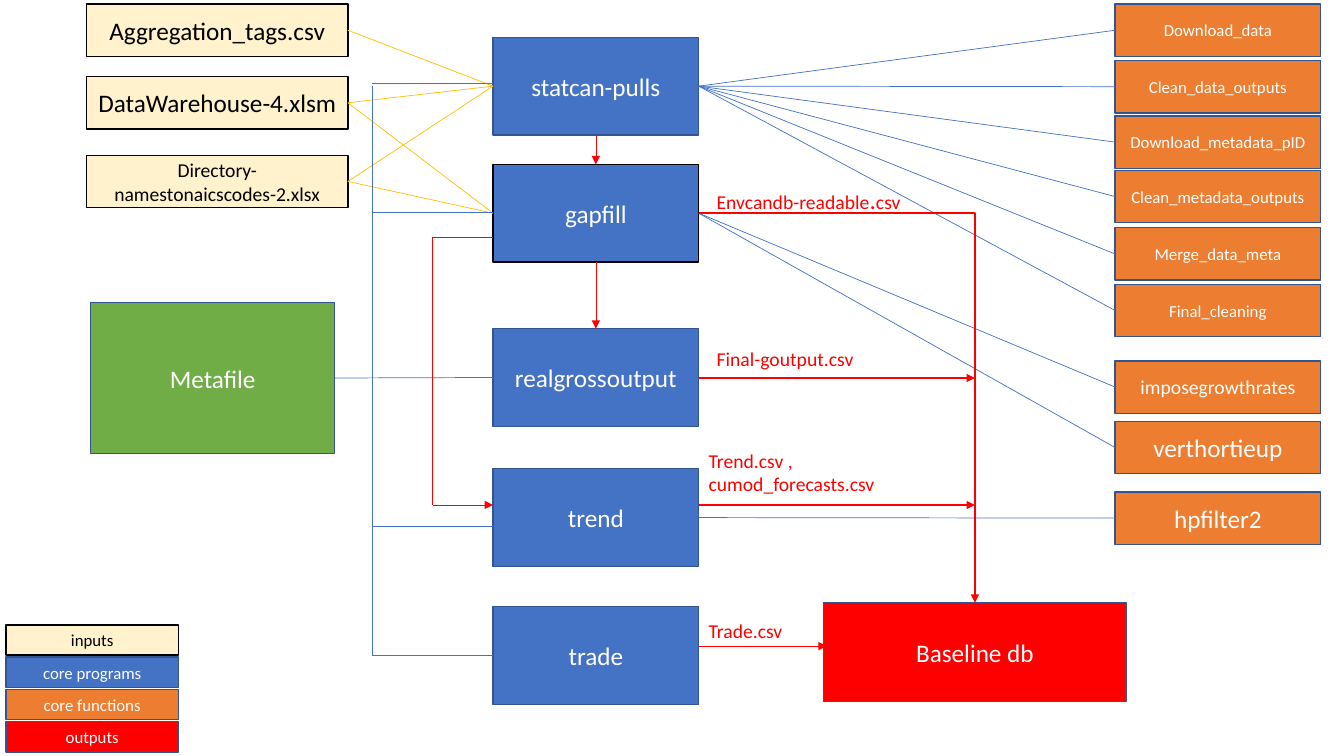
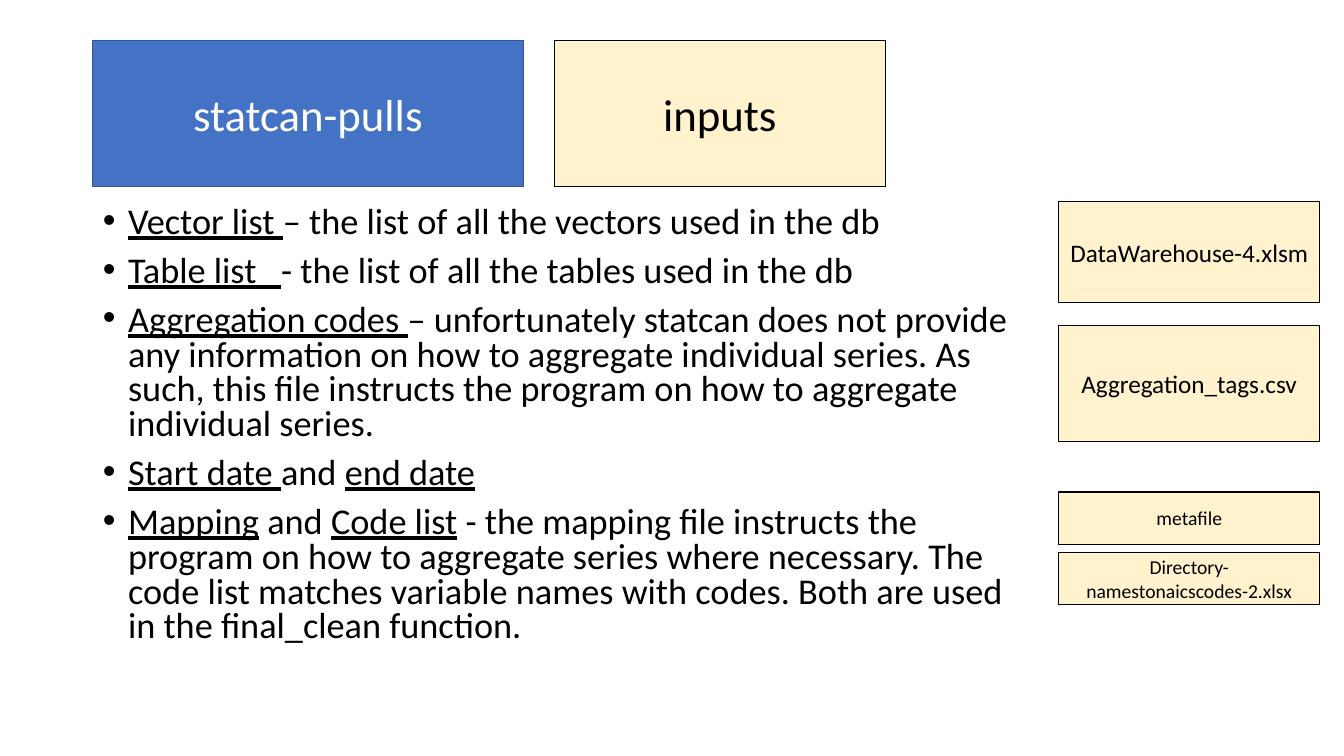
from lxml import etree
from pptx import Presentation
from pptx.dml.color import RGBColor
from pptx.enum import shapes, text
from pptx.oxml.ns import qn
from pptx.util import Inches, Pt

FONT = "Calibri"
COLOURS = {
    "blue": "4472C4", "navy": "325491", "orange": "ED7D31", "green": "70AD47",
    "red": "FF0000", "gold": "FFC000", "cream": "FFF2CC", "black": "000000", "white": "FFFFFF",
}
# Role of a box: fill, outline, text
ROLES = {
    "input": ("cream", "black", "black"),
    "program": ("blue", "navy", "white"),
    "function": ("orange", "navy", "white"),
    "output": ("red", "navy", "white"),
    "metafile": ("green", "navy", "white"),
}
RGB = {name: RGBColor.from_string(value) for name, value in COLOURS.items()}
TOP, LEFT, BOTTOM, RIGHT = range(4)  # connection sites of a rectangle


def add_box(page, label, role, left, top, width, height, size=18):
    fill, outline, ink = ROLES[role]
    box = page.shapes.add_shape(shapes.MSO_SHAPE.RECTANGLE, Inches(left), Inches(top),
                                Inches(width), Inches(height))
    box.shadow.inherit = False
    box.fill.solid()
    box.fill.fore_color.rgb = RGB[fill]
    box.line.color.rgb = RGB[outline]
    box.line.width = Pt(1)
    frame = box.text_frame
    frame.word_wrap = True
    frame.vertical_anchor = text.MSO_ANCHOR.MIDDLE
    para = frame.paragraphs[0]
    para.text = label
    para.alignment = text.PP_ALIGN.CENTER
    para.font.name, para.font.size = FONT, Pt(size)
    para.font.color.rgb = RGB[ink]
    return box


def add_line(page, start, end, colour="blue", width=0.5, arrow=False, bent=False):
    """Join two ends, each either a (box, site) pair or an (x, y) point in inches."""
    kind = shapes.MSO_CONNECTOR.ELBOW if bent else shapes.MSO_CONNECTOR.STRAIGHT
    line = page.shapes.add_connector(kind, 0, 0, 0, 0)
    if isinstance(start[0], (int, float)):
        line.begin_x, line.begin_y = map(Inches, start)
    else:
        line.begin_connect(*start)
    if isinstance(end[0], (int, float)):
        line.end_x, line.end_y = map(Inches, end)
    else:
        line.end_connect(*end)
    line.line.color.rgb = RGB[colour]
    line.line.width = Pt(width)
    properties = line._element.spPr
    if bent:
        properties.find(qn("a:prstGeom")).set("prst", "bentConnector2")
    if arrow:
        etree.SubElement(properties.find(qn("a:ln")), qn("a:tailEnd"), type="triangle")
    etree.SubElement(properties, qn("a:effectLst"))


deck = Presentation()
deck.slide_width, deck.slide_height = Inches(13.33), Inches(7.5)

# Slide 1: flow from inputs through programs to the database
page = deck.slides.add_slide(deck.slide_layouts[6])

metafile = add_box(page, "Metafile", "metafile", 0.9, 3, 2.42, 1.5)
baseline = add_box(page, "Baseline db", "output", 8.17, 5.98, 3, 0.98)

programs = {}
for name, top in [("statcan-pulls", 0.37), ("gapfill", 1.63), ("realgrossoutput", 3.26),
                  ("trend", 4.65), ("trade", 6.02)]:
    programs[name] = add_box(page, name, "program", 4.89, top, 2.04, 0.97)
programs["gapfill"].line.color.rgb = RGB["black"]

for name, top, size, users in [
    ("Aggregation_tags.csv", 0.04, 18, ["statcan-pulls"]),
    ("DataWarehouse-4.xlsm", 0.76, 18, ["statcan-pulls", "gapfill"]),
    ("Directory-namestonaicscodes-2.xlsx", 1.54, 14, ["statcan-pulls", "gapfill"]),
]:
    source = add_box(page, name, "input", 0.86, top, 2.59, 0.52, size)
    for user in users:
        add_line(page, (source, RIGHT), (programs[user], LEFT), "gold")

for name, top, size, user in [
    ("Download_data", 0.04, 12, "statcan-pulls"),
    ("Clean_data_outputs", 0.6, 12, "statcan-pulls"),
    ("Download_metadata_pID", 1.15, 12, "statcan-pulls"),
    ("Clean_metadata_outputs", 1.69, 12, "statcan-pulls"),
    ("Merge_data_meta", 2.26, 12, "statcan-pulls"),
    ("Final_cleaning", 2.82, 12, "statcan-pulls"),
    ("imposegrowthrates", 3.58, 14, "gapfill"),
    ("verthortieup", 4.18, 18, "gapfill"),
    ("hpfilter2", 4.88, 18, "trend"),
]:
    function = add_box(page, name, "function", 11.06, top, 2.04, 0.52, size)
    add_line(page, (function, LEFT), (programs[user], RIGHT))

# Metafile feeds every program through one trunk
add_line(page, (metafile, RIGHT), (programs["realgrossoutput"], LEFT))
add_line(page, (3.69, 0.85), (3.69, 6.5))
for y in (0.83, 2.11, 5.22, 6.5):
    add_line(page, (3.69, y), (4.89, y))

# Red flow between programs and into the database
for giver, taker in [("statcan-pulls", "gapfill"), ("gapfill", "realgrossoutput")]:
    add_line(page, (programs[giver], BOTTOM), (programs[taker], TOP), "red", arrow=True)
add_line(page, (4.89, 2.35), (4.29, 2.35), "red")
add_line(page, (4.29, 2.35), (4.29, 5.01), "red")
add_line(page, (4.29, 5.01), (4.89, 5.01), "red", arrow=True)
add_line(page, (programs["gapfill"], RIGHT), (baseline, TOP), "red", 1.5, arrow=True, bent=True)
for y in (3.75, 5.01):
    add_line(page, (6.93, y), (9.67, y), "red", 1.5, arrow=True)
add_line(page, (6.93, 6.41), (8.2, 6.41), "red", arrow=True)

for spans, left, top, width, height in [
    ([("Envcandb-readable", 14), (".", 18), ("csv", 14)], 7.01, 1.78, 2.2, 0.4),
    ([("Final-goutput.csv", 14)], 7.01, 3.39, 2.2, 0.34),
    ([("Trend.csv , cumod_forecasts.csv", 14)], 6.93, 4.4, 2.54, 0.57),
    ([("Trade.csv", 14)], 6.93, 6.09, 2.2, 0.34),
]:
    box = page.shapes.add_textbox(Inches(left), Inches(top), Inches(width), Inches(height))
    box.text_frame.word_wrap = True
    para = box.text_frame.paragraphs[0]
    para.font.name = FONT
    para.font.color.rgb = RGB["red"]
    for words, size in spans:
        span = para.add_run()
        span.text = words
        span.font.size = Pt(size)

for row, (label, role) in enumerate([("inputs", "input"), ("core programs", "program"),
                                     ("core functions", "function"), ("outputs", "output")]):
    add_box(page, label, role, 0.06, 6.2 + 0.32 * row, 1.71, 0.3, 12)

# Slide 2: inputs of statcan-pulls
page = deck.slides.add_slide(deck.slide_layouts[1])
title = page.shapes.title._element
title.getparent().remove(title)

body = page.placeholders[1]
body.left, body.top, body.width, body.height = map(Inches, (0.92, 2, 9.36, 4.76))
frame = body.text_frame
frame.auto_size = text.MSO_AUTO_SIZE.NONE
# Spans alternate between underlined and plain
bullets = [
    ["Vector list ", "– the list of all the vectors used in the db"],
    ["Table list   ", "- the list of all the tables used in the db"],
    ["Aggregation codes ", "– unfortunately statcan does not provide any information on how to "
     "aggregate individual series. As such, this file instructs the program on how to aggregate "
     "individual series."],
    ["Start date ", "and ", "end date"],
    ["Mapping", " and ", "Code list", " - the mapping file instructs the program on how to "
     "aggregate series where necessary. The code list matches variable names with codes. Both "
     "are used in the final_clean function."],
]
for row, spans in enumerate(bullets):
    para = frame.add_paragraph() if row else frame.paragraphs[0]
    para.line_spacing, para.space_before = 0.8, Pt(10)
    para.font.name, para.font.size = FONT, Pt(25.9)
    para.font.color.rgb = RGB["black"]
    indent = para._p.get_or_add_pPr()
    indent.set("marL", str(Inches(0.25)))
    indent.set("indent", str(Inches(-0.25)))
    for place, words in enumerate(spans):
        span = para.add_run()
        span.text = words
        span.font.underline = place % 2 == 0

add_box(page, "statcan-pulls", "program", 0.92, 0.4, 4.27, 1.45, 32)
add_box(page, "inputs", "input", 5.5, 0.4, 3.28, 1.45, 32)
for name, top, height, size in [
    ("DataWarehouse-4.xlsm", 2, 1, 18),
    ("Aggregation_tags.csv", 3.23, 1.15, 18),
    ("metafile", 4.88, 0.52, 14),
    ("Directory-namestonaicscodes-2.xlsx", 5.48, 0.52, 14),
]:
    add_box(page, name, "input", 10.5, top, 2.59, height, size)

deck.save("out.pptx")
